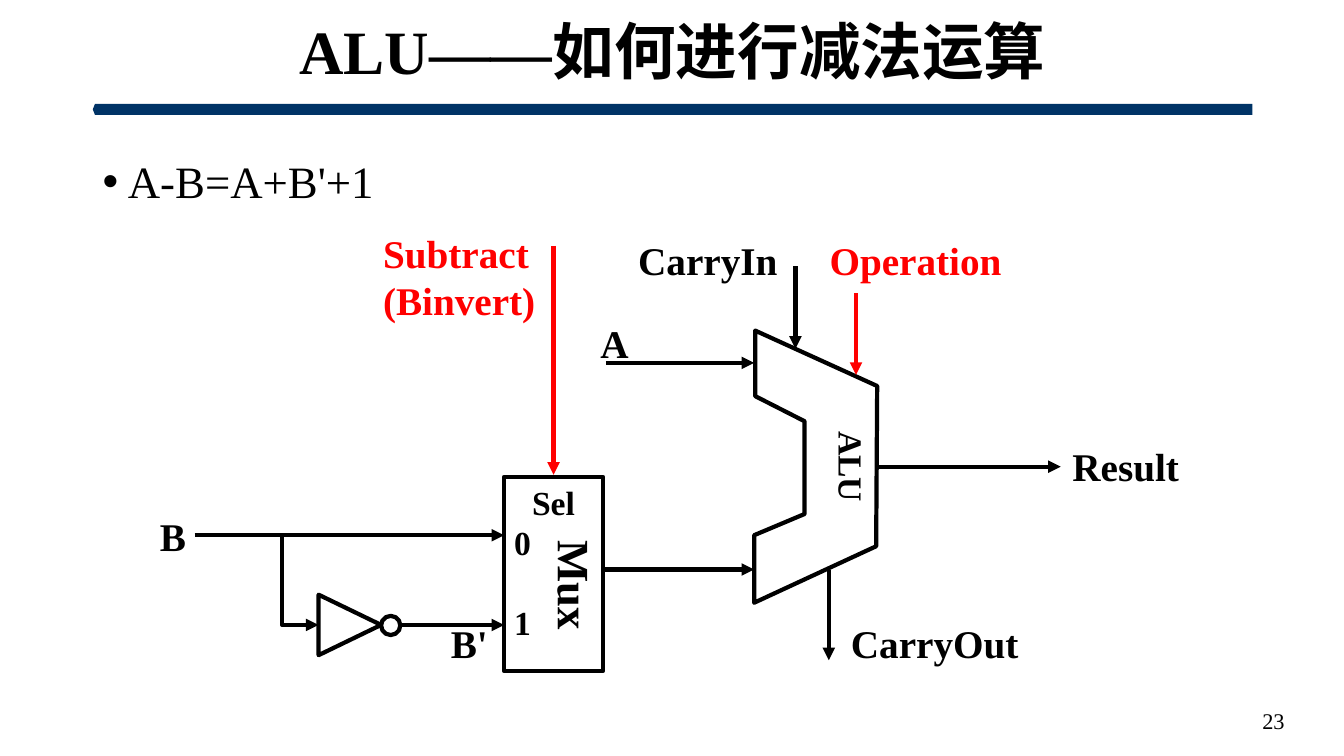
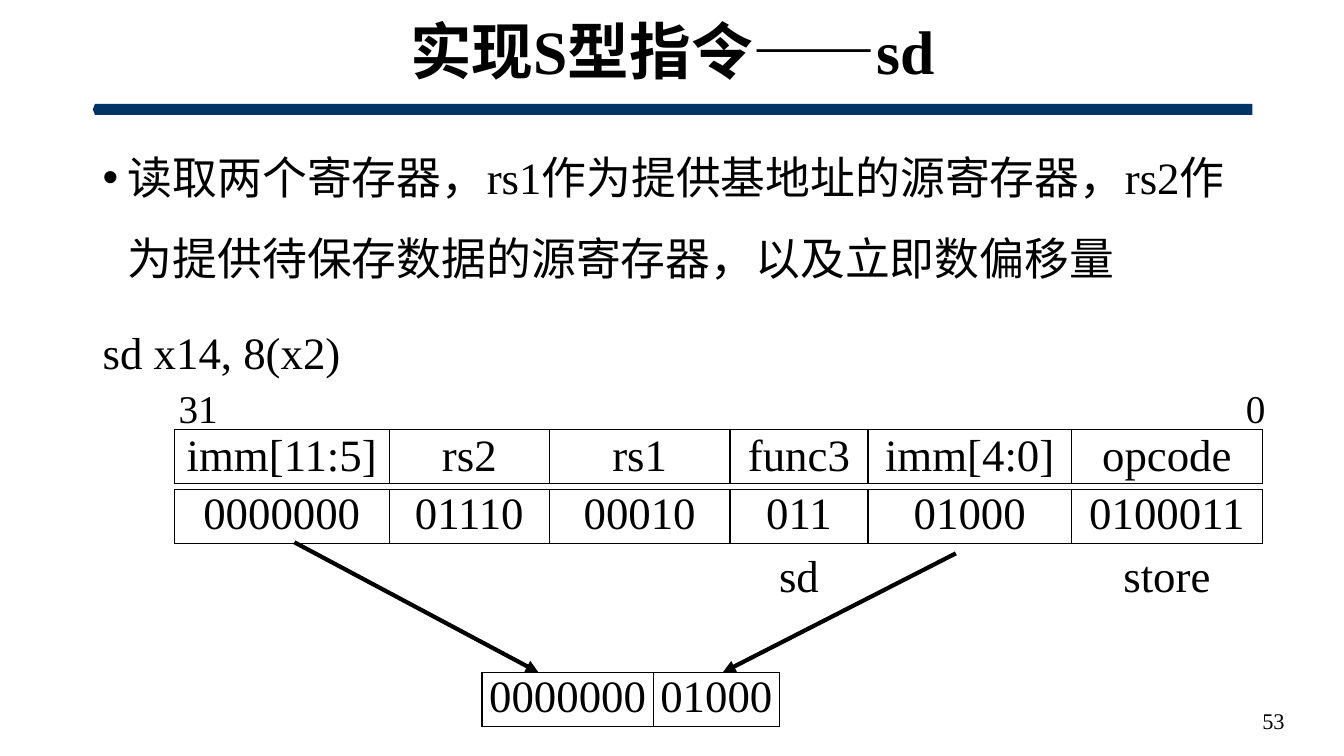
from lxml.etree import SubElement
from pptx import Presentation
from pptx.dml.color import RGBColor
from pptx.enum.shapes import MSO_CONNECTOR, MSO_SHAPE
from pptx.enum.text import MSO_ANCHOR, PP_ALIGN
from pptx.oxml.ns import qn
from pptx.util import Inches, Pt

BLACK = RGBColor(0, 0, 0)
WHITE = RGBColor(255, 255, 255)
RED = RGBColor(255, 0, 0)
NAVY = RGBColor(0, 0x33, 0x66)
FONT = "Times New Roman"
LEFT, CENTER, RIGHT = PP_ALIGN.LEFT, PP_ALIGN.CENTER, PP_ALIGN.RIGHT


def write(tf, lines, size, bold=False, color=BLACK, align=LEFT, inset=None):
    """Fill a text frame, one paragraph per line; inset sets all four margins."""
    if inset is not None:
        for side in ("left", "right", "top", "bottom"):
            setattr(tf, f"margin_{side}", Inches(inset))
    for i, line in enumerate(lines):
        p = tf.paragraphs[0] if i == 0 else tf.add_paragraph()
        p.alignment = align
        r = p.add_run()
        r.text = line
        style = {"name": FONT, "size": Pt(size), "bold": bold}
        for key, value in style.items():
            setattr(r.font, key, value)
        r.font.color.rgb = color


def arrow(s, x1, y1, x2, y2, color=BLACK):
    c = s.shapes.add_connector(MSO_CONNECTOR.STRAIGHT, *map(Inches, (x1, y1, x2, y2)))
    c.line.color.rgb = color
    c.line.width = Pt(3)
    SubElement(c.line._get_or_add_ln(), qn("a:tailEnd"), type="triangle")
    SubElement(c.element.spPr, qn("a:effectLst"))
    return c


prs = Presentation()
prs.slide_width, prs.slide_height = Inches(13.33), Inches(7.5)
layout = prs.slide_layouts[5]

# Title, body text and page number
pages = [
    ("ALU——如何进行减法运算", "23", 1.21, ["A-B=A+B'+1"]),
    ("实现S型指令——sd", "53", 1.17,
     ["读取两个寄存器，rs1作为提供基地址的源寄存器，rs2作为提供待保存数据的源寄存器，以及立即数偏移量",
      "sd x14, 8(x2)"]),
]
for title, number, body_top, body in pages:
    s = prs.slides.add_slide(layout)
    t = s.shapes.title
    t.left, t.top, t.width, t.height = map(Inches, (0.92, 0.13, 11.5, 0.82))
    t.text_frame.vertical_anchor = MSO_ANCHOR.MIDDLE
    write(t.text_frame, [title], 44, bold=True, align=CENTER)
    t.text_frame.paragraphs[0].line_spacing = 0.9

    tf = s.shapes.add_textbox(*map(Inches, (0.92, body_top, 11.5, 5.55))).text_frame
    tf.word_wrap = True
    write(tf, body, 32)
    for i, p in enumerate(tf.paragraphs):
        p.line_spacing = 1.5
        p.space_before = Pt(10 if i else 0)
    pPr = tf.paragraphs[0]._p.get_or_add_pPr()
    pPr.set("marL", str(Inches(0.25)))
    pPr.set("indent", str(-Inches(0.25)))
    SubElement(pPr, qn("a:buFont"), typeface="Arial")
    SubElement(pPr, qn("a:buChar"), char="•")

    tf = s.shapes.add_textbox(*map(Inches, (9.84, 6.95, 3, 0.4))).text_frame
    tf.word_wrap = True
    tf.vertical_anchor = MSO_ANCHOR.MIDDLE
    write(tf, [number], 16, align=RIGHT)

# The band under the title belongs to the layout
alu_slide, sd_slide = prs.slides
band = alu_slide.shapes.add_shape(MSO_SHAPE.PENTAGON, *map(Inches, (0.92, 1.03, 11.5, 0.11)))
band.adjustments[0] = 0.2
band.rotation = 180
band.shadow.inherit = False
band.fill.solid()
band.fill.fore_color.rgb = NAVY
band.line.fill.background()
band.element.xpath("p:nvSpPr/p:cNvPr")[0].set("id", "20")
layout.shapes.element.append(band.element)

# Subtraction circuit: inverter, multiplexer and ALU
s = alu_slide
triangle = s.shapes.add_shape(MSO_SHAPE.ISOSCELES_TRIANGLE, *map(Inches, (3.17, 5.89, 0.6, 0.62)))
triangle.rotation = 90
bubble = s.shapes.add_shape(MSO_SHAPE.OVAL, *map(Inches, (3.78, 6.11, 0.19, 0.19)))
mux = s.shapes.add_shape(MSO_SHAPE.RECTANGLE, *map(Inches, (5, 4.73, 0.98, 1.93)))
outline = [(7.49, 3.28), (8.7, 3.83), (8.69, 5.42), (7.48, 5.98),
           (7.48, 5.31), (7.98, 5.1), (7.98, 4.18), (7.49, 3.93)]
points = [(Inches(x), Inches(y)) for x, y in outline]
builder = s.shapes.build_freeform(*points[0])
builder.add_line_segments(points[1:], close=True)
alu = builder.convert_to_shape()
for sp in (triangle, bubble, mux, alu):
    sp.shadow.inherit = False
    sp.fill.solid()
    sp.fill.fore_color.rgb = WHITE
    sp.line.color.rgb = BLACK
    sp.line.width = Pt(3)
    sp.text_frame.vertical_anchor = MSO_ANCHOR.TOP

write(alu.text_frame, ["ALU"], 24, bold=True, align=CENTER)
write(mux.text_frame, ["Sel", "0", "1"], 24, bold=True)
mux.text_frame.paragraphs[0].alignment = CENTER
mux.text_frame.paragraphs[2].space_before = Pt(28)
mux_name = s.shapes.add_textbox(*map(Inches, (5.44, 5.36, 0.54, 0.9)))
mux_name.text_frame.vertical_anchor = MSO_ANCHOR.MIDDLE
write(mux_name.text_frame, ["Mux"], 32, bold=True, inset=0)
for sp in (alu, mux_name):
    sp.text_frame._txBody.bodyPr.set("vert", "vert")

wires = [
    (8.72, 4.63, 10.52, 4.63, BLACK),
    (8.22, 5.65, 8.22, 6.55, BLACK),
    (7.89, 2.64, 7.89, 3.46, BLACK),
    (8.49, 2.91, 8.49, 3.72, RED),
    (5.98, 5.65, 7.48, 5.65, BLACK),
    (3.97, 6.2, 5, 6.2, BLACK),
    (5.49, 2.44, 5.49, 4.71, RED),
    (6.01, 3.6, 7.48, 3.6, BLACK),
    (1.93, 5.31, 5, 5.31, BLACK),
]
for wire in wires:
    arrow(s, *wire)

# Branch from B to the inverter: a quarter-turned elbow
branch = arrow(s, 3.43, 5.57, 2.53, 5.93)
branch.element.spPr.xfrm.set("rot", str(270 * 60000))
branch.element.xpath(".//a:prstGeom")[0].set("prst", "bentConnector2")

labels = [
    (10.63, 4.39, 1.07, ["Result"], BLACK),
    (8.37, 6.14, 1.8, ["CarryOut"], BLACK),
    (5.88, 3.17, 0.43, ["A"], BLACK),
    (8.22, 2.34, 1.72, ["Operation"], RED),
    (3.8, 2.27, 1.53, ["Subtract", "(Binvert)"], RED),
    (4.44, 6.14, 0.43, ["B'"], BLACK),
    (1.5, 5.08, 0.43, ["B"], BLACK),
    (6.12, 2.34, 1.8, ["CarryIn"], BLACK),
]
for x, y, w, lines, color in labels:
    tf = s.shapes.add_textbox(*map(Inches, (x, y, w, 0.47 * len(lines)))).text_frame
    tf.word_wrap = False
    tf.vertical_anchor = MSO_ANCHOR.MIDDLE
    write(tf, lines, 28, bold=True, color=color, inset=0,
          align=CENTER if len(lines) == 1 else LEFT)

# Instruction format: one-row tables
s = sd_slide
field_widths = [2.13, 1.59, 1.79, 1.37, 2.02, 1.89]
TOP, MIDDLE = MSO_ANCHOR.TOP, MSO_ANCHOR.MIDDLE
tables = [
    (1.73, 4.86, field_widths, TOP, True,
     ["0000000", "01110", "00010", "011", "01000", "0100011"]),
    (1.73, 5.46, field_widths, MIDDLE, False, ["", "", "", "sd", "", "store"]),
    (4.78, 6.67, [1.7, 1.25], TOP, True, ["0000000", "01000"]),
    (1.73, 4.26, field_widths, MIDDLE, True,
     ["imm[11:5]", "rs2", "rs1", "func3", "imm[4:0]", "opcode"]),
]
for x, y, widths, anchor, bordered, texts in tables:
    frame = s.shapes.add_table(1, len(widths), *map(Inches, (x, y, sum(widths), 0.53)))
    table = frame.table
    table.first_row = table.horz_banding = False
    for column, width, cell, text in zip(table.columns, widths, table.rows[0].cells, texts):
        column.width = Inches(width)
        cell.vertical_anchor = anchor
        if bordered:
            for edge in ("lnL", "lnR", "lnT", "lnB"):
                ln = SubElement(cell._tc.get_or_add_tcPr(), qn(f"a:{edge}"), w=str(Pt(1)))
                fill = SubElement(ln, qn("a:solidFill"))
                SubElement(fill, qn("a:srgbClr"), val=str(BLACK))
        cell.fill.solid()
        cell.fill.fore_color.rgb = WHITE
        if text:
            write(cell.text_frame, [text], 32, align=CENTER)
            cell.margin_left = cell.margin_right = 0
            cell.margin_top = cell.margin_bottom = 0

arrow(s, 2.92, 5.38, 5.34, 6.67)
arrow(s, 9.48, 5.49, 7.17, 6.67)

for x, w, bit, align in [(1.61, 0.71, "31", CENTER), (12.26, 0.47, "0", LEFT)]:
    tf = s.shapes.add_textbox(*map(Inches, (x, 3.76, w, 0.41))).text_frame
    tf.word_wrap = True
    write(tf, [bit], 28, align=align)

prs.save("out.pptx")
